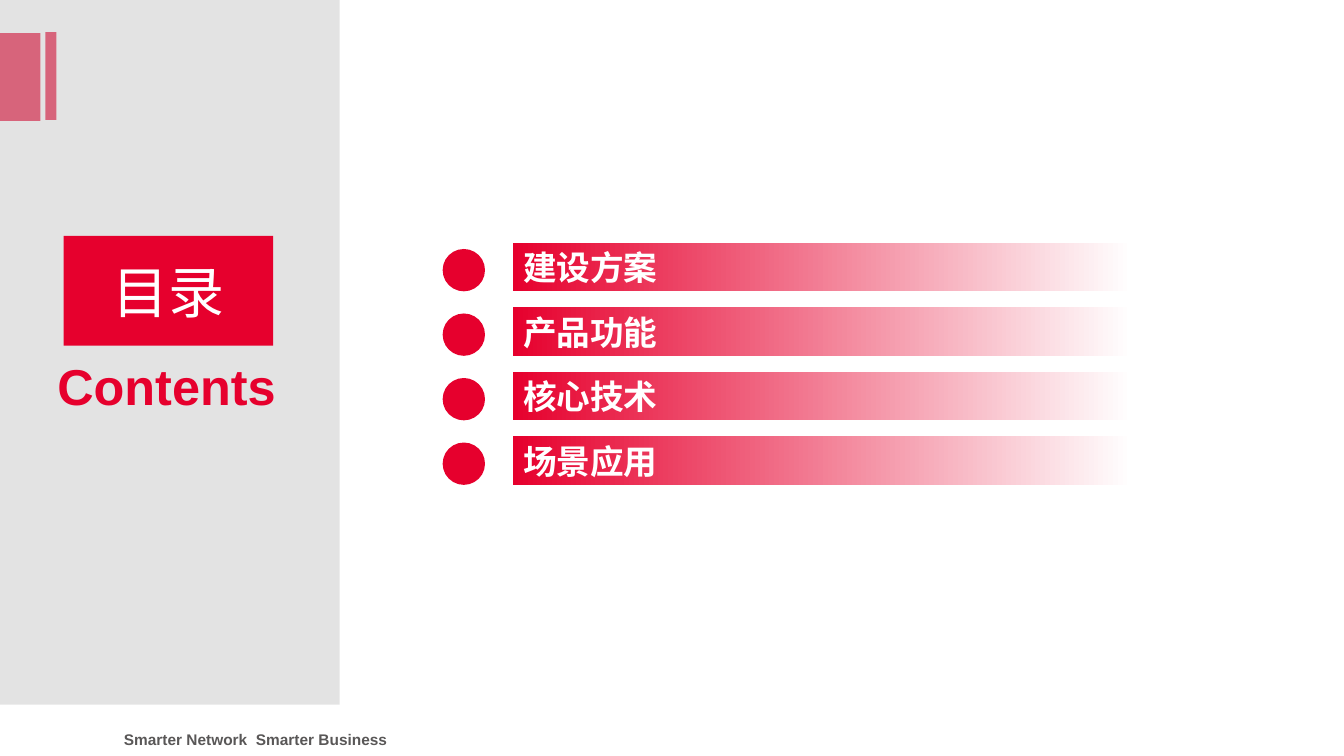
from lxml.etree import SubElement
from pptx import Presentation
from pptx.dml.color import RGBColor
from pptx.enum.shapes import MSO_SHAPE as Shape
from pptx.enum.text import MSO_ANCHOR as Anchor, MSO_AUTO_SIZE as AutoSize, PP_ALIGN as Align
from pptx.oxml.ns import qn
from pptx.util import Inches, Pt

RED, GREY, WHITE, SLATE = "E6002D", "C9C9C9", "FFFFFF", "595757"
LATIN, CHINESE = "Arial", "Noto Sans CJK SC"
TOPICS = ["建设方案", "产品功能", "核心技术", "场景应用"]


def rgb(value):
    return RGBColor.from_string(value)


def write(holder, text, size, color, font=LATIN, bold=False, align=Align.LEFT,
          anchor=Anchor.TOP, wrap=True):
    frame = holder.text_frame
    frame.auto_size = AutoSize.NONE
    frame.word_wrap = wrap
    frame.vertical_anchor = anchor
    paragraph = frame.paragraphs[0]
    paragraph.alignment = align
    run = paragraph.add_run()
    run.text = text
    run.font.size = Pt(size)
    run.font.bold = bold
    run.font.name = font
    run.font.color.rgb = rgb(color)
    SubElement(run.font._element, qn("a:ea"), typeface=font)


def add_block(slide, box, fill, kind=Shape.RECTANGLE, opacity=100):
    block = slide.shapes.add_shape(kind, *map(Inches, box))
    block.shadow.inherit = False
    block.line.fill.background()
    block.fill.solid()
    block.fill.fore_color.rgb = rgb(fill)
    if opacity < 100:
        color = block.fill._xPr.find(qn("a:solidFill"))[0]
        SubElement(color, qn("a:alpha"), val=str(opacity * 1000))
    return block


def add_label(slide, box, text, **style):
    label = slide.shapes.add_textbox(*map(Inches, box))
    write(label, text, **style)


def build_corner(slide, left, top):
    add_block(slide, (left, top + 0.01, 0.41, 0.87), RED)
    add_block(slide, (left + 0.46, top, 0.11, 0.87), RED)


def build_sidebar(slide, left, top, width, height):
    add_block(slide, (left, top, width, height), GREY, opacity=50)
    add_label(slide, (left + 0.47, top + 3.47, 2.39, 0.71), "Contents",
              size=36, color=RED, bold=True, wrap=False)
    heading = slide.shapes.title
    heading.left, heading.top = Inches(left + 0.63), Inches(top + 2.34)
    heading.width, heading.height = Inches(2.08), Inches(1.09)
    heading.fill.solid()
    heading.fill.fore_color.rgb = rgb(RED)
    write(heading, "目录", size=40, color=WHITE, font=CHINESE,
          align=Align.CENTER, anchor=Anchor.MIDDLE)
    slide.shapes._spTree.append(heading._element)


def build_topics(slide, left, top, width, row_height=0.48, step=0.64):
    dot, bar_offset = 0.42, 0.7
    for index, topic in enumerate(TOPICS):
        row_top = top + index * step
        add_block(slide, (left, row_top + 0.06, dot, dot), RED, Shape.OVAL)
        bar = add_block(slide, (left + bar_offset, row_top, width - bar_offset, row_height), RED)
        bar.fill.gradient()
        bar.fill.gradient_angle = 0
        for stop, position, color in zip(bar.fill.gradient_stops, (0, 1), (RED, WHITE)):
            stop.position = position
            stop.color.rgb = rgb(color)
        write(bar, topic, size=24, color=WHITE, font=CHINESE, bold=True, anchor=Anchor.MIDDLE)


def main():
    deck = Presentation()
    deck.slide_width, deck.slide_height = Inches(13.33), Inches(7.5)
    slide = deck.slides.add_slide(deck.slide_layouts[5])
    add_label(slide, (1.13, 7.19, 4.29, 0.29), "Smarter Network  Smarter Business",
              size=11, color=SLATE, bold=True)
    build_corner(slide, -0.01, 0.32)
    build_sidebar(slide, 0, 0, 3.37, 6.99)
    build_topics(slide, 4.39, 2.41, 6.84)
    deck.save("out.pptx")


if __name__ == "__main__":
    main()
